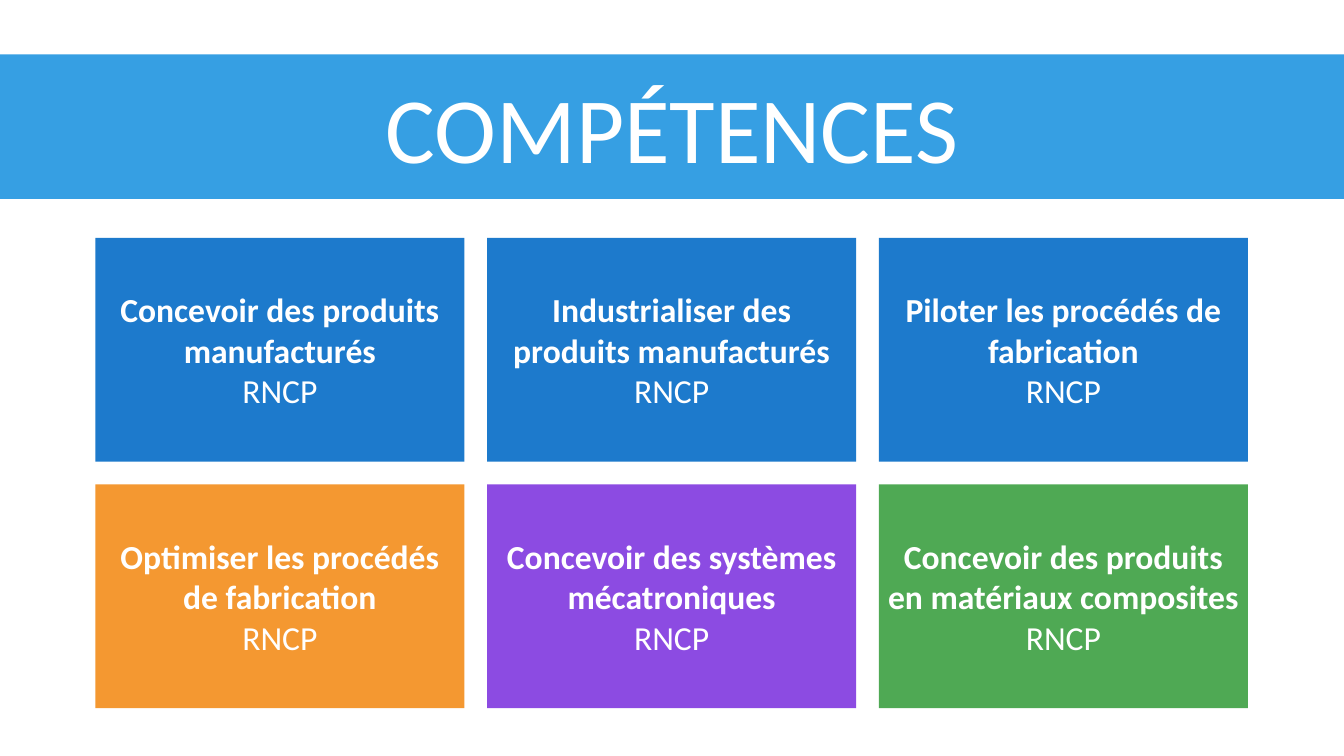
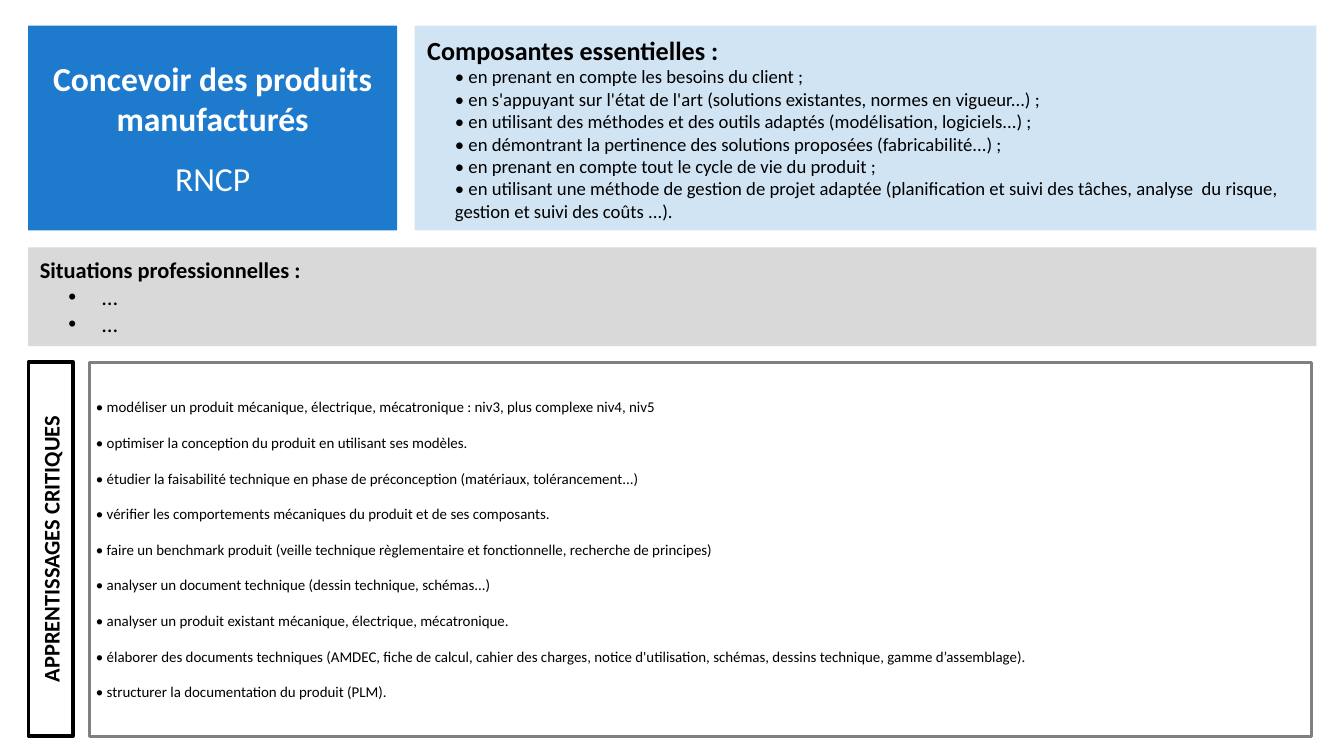
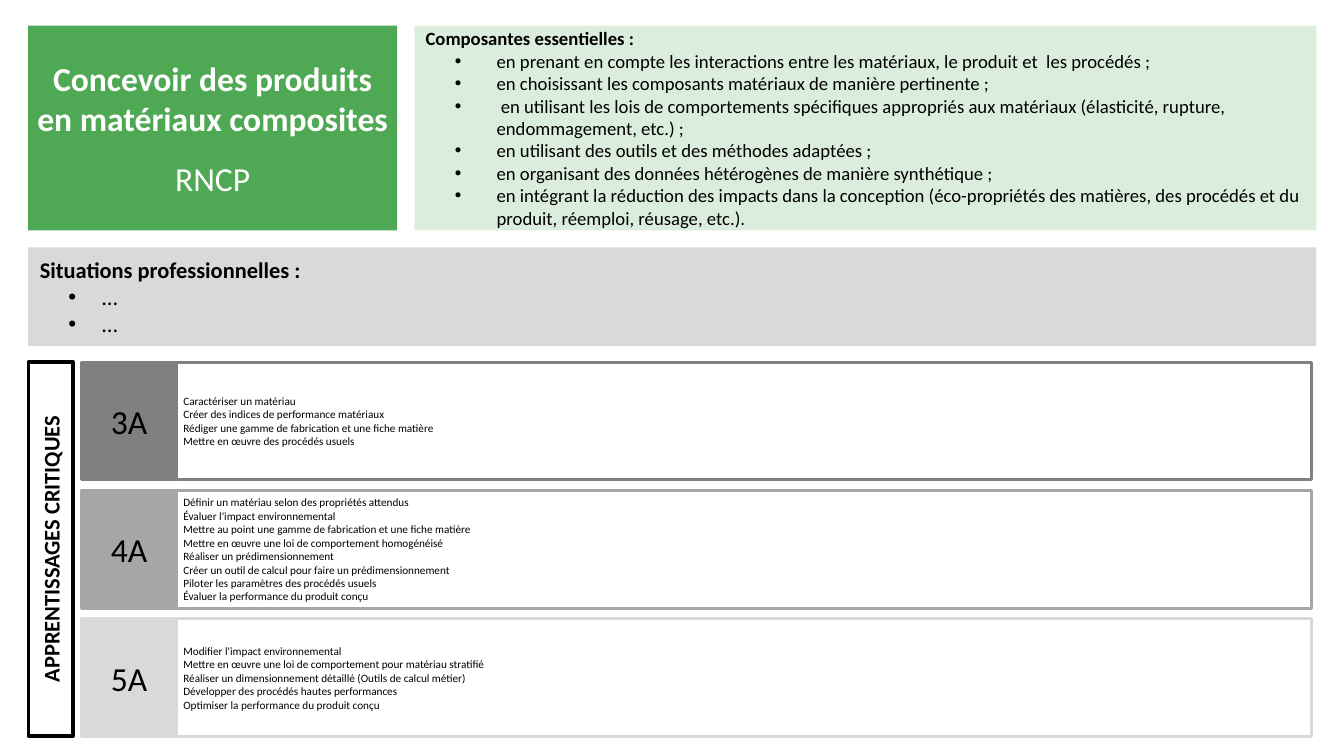
from dataclasses import dataclass
from typing import Optional

from lxml import etree
from pptx import Presentation
from pptx import util as u
from pptx.dml.color import RGBColor
from pptx.enum import shapes, text
from pptx.oxml.ns import qn

PX = 9144  # EMU per px, 100 px to the inch
FONT = "Calibri"
TITLE_ONLY, TITLE_AND_BODY = 5, 1

WHITE = RGBColor(0xFF, 0xFF, 0xFF)
BLACK = RGBColor(0x00, 0x00, 0x00)
SKY = RGBColor(0x36, 0x9F, 0xE3)
BLUE = RGBColor(0x1D, 0x7A, 0xCC)
ORANGE = RGBColor(0xF4, 0x98, 0x31)
PURPLE = RGBColor(0x8C, 0x4B, 0xE2)
GREEN = RGBColor(0x4F, 0xA9, 0x54)
DARK_GREY = RGBColor(0x80, 0x80, 0x80)
MID_GREY = RGBColor(0xA6, 0xA6, 0xA6)
LIGHT_GREY = RGBColor(0xD9, 0xD9, 0xD9)

LEFT, CENTER = text.PP_ALIGN.LEFT, text.PP_ALIGN.CENTER


@dataclass(frozen=True)
class Box:
    x: int
    y: int
    w: int
    h: int


@dataclass(frozen=True)
class Style:
    size: int
    color: RGBColor = BLACK
    bold: bool = False
    align: text.PP_ALIGN = LEFT
    margin: int = 0
    hang: int = 0
    spacing: float = 1.0
    before: float = 0


@dataclass(frozen=True)
class Line:
    wording: str
    style: Style


@dataclass(frozen=True)
class Look:
    fill: RGBColor
    outline: Optional[RGBColor] = None
    weight: float = 3
    opacity: int = 100


@dataclass(frozen=True)
class Skill:
    name: str
    color: RGBColor


@dataclass(frozen=True)
class Level:
    year: str
    color: RGBColor
    learnings: list[str]


# Text styles
BANNER = Style(100, WHITE, align=CENTER)
SKILL_NAME = Style(36, WHITE, bold=True, align=CENTER)
SKILL_CODE = Style(36, WHITE, align=CENTER)
SKILL_CODE_SPACED = Style(36, WHITE, align=CENTER, spacing=1.5)
SITUATION_HEAD = Style(24, bold=True)
SITUATION = Style(24, margin=100, hang=50)
TYPED_COMPONENT = Style(20, margin=50)
BULLET_COMPONENT = Style(20, margin=112, hang=62)
LEARNING = Style(16, before=19)
LEVEL_LEARNING = Style(12)
YEAR = Style(36, align=CENTER)
SIDE_LABEL = Style(24, bold=True, align=CENTER)

# Shared geometry
BANNER_BOX = Box(0, 81, 2000, 215)
SKILL_BOX = Box(42, 38, 549, 305)
COMPONENTS_BOX = Box(617, 38, 1342, 305)
SITUATIONS_BOX = Box(42, 368, 1917, 147)
SIDE_BOX = Box(42, 539, 66, 557)
LEARNINGS_BOX = Box(133, 539, 1819, 557)
CARD_W, CARD_H, CARD_PITCH_X, CARD_PITCH_Y = 549, 333, 583, 367
YEAR_W, LEVEL_H, LEVEL_PITCH = 142, 175, 191

# Content
CODE = "RNCP"
DESIGN = Skill("Concevoir des produits manufacturés", BLUE)
COMPOSITES = Skill("Concevoir des produits en matériaux composites", GREEN)
SKILL_ROWS = [
    [
        DESIGN,
        Skill("Industrialiser des produits manufacturés", BLUE),
        Skill("Piloter les procédés de fabrication", BLUE),
    ],
    [
        Skill("Optimiser les procédés de fabrication", ORANGE),
        Skill("Concevoir des systèmes mécatroniques", PURPLE),
        COMPOSITES,
    ],
]
DESIGN_COMPONENTS = [
    "• en prenant en compte les besoins du client ;",
    "• en s'appuyant sur l'état de l'art (solutions existantes, normes en vigueur...) ;",
    "• en utilisant des méthodes et des outils adaptés (modélisation, logiciels...) ;",
    "• en démontrant la pertinence des solutions proposées (fabricabilité...) ;",
    "• en prenant en compte tout le cycle de vie du produit ;",
    "• en utilisant une méthode de gestion de projet adaptée (planification et suivi des tâches, "
    "analyse  du risque, gestion et suivi des coûts ...).",
]
DESIGN_LEARNINGS = [
    "• modéliser un produit mécanique, électrique, mécatronique : niv3, plus complexe niv4, niv5",
    "• optimiser la conception du produit en utilisant ses modèles.",
    "• étudier la faisabilité technique en phase de préconception (matériaux, tolérancement...)",
    "• vérifier les comportements mécaniques du produit et de ses composants.",
    "• faire un benchmark produit (veille technique règlementaire et fonctionnelle, "
    "recherche de principes)",
    "• analyser un document technique (dessin technique, schémas...)",
    "• analyser un produit existant mécanique, électrique, mécatronique.",
    "• élaborer des documents techniques (AMDEC, fiche de calcul, cahier des charges, "
    "notice d'utilisation, schémas, dessins technique, gamme d’assemblage).",
    "• structurer la documentation du produit (PLM).",
]
COMPOSITE_COMPONENTS = [
    "en prenant en compte les interactions entre les matériaux, le produit et  les procédés ;",
    "en choisissant les composants matériaux de manière pertinente ;",
    " en utilisant les lois de comportements spécifiques appropriés aux matériaux "
    "(élasticité, rupture, endommagement, etc.) ;",
    "en utilisant des outils et des méthodes adaptées ;",
    "en organisant des données hétérogènes de manière synthétique ;",
    "en intégrant la réduction des impacts dans la conception (éco-propriétés des matières, "
    "des procédés et du produit, réemploi, réusage, etc.).",
]
COMPOSITE_LEVELS = [
    Level("3A", DARK_GREY, [
        "Caractériser un matériau",
        "Créer des indices de performance matériaux",
        "Rédiger une gamme de fabrication et une fiche matière",
        "Mettre en œuvre des procédés usuels",
    ]),
    Level("4A", MID_GREY, [
        "Définir un matériau selon des propriétés attendus",
        "Évaluer l'impact environnemental",
        "Mettre au point une gamme de fabrication et une fiche matière",
        "Mettre en œuvre une loi de comportement homogénéisé",
        "Réaliser un prédimensionnement",
        "Créer un outil de calcul pour faire un prédimensionnement",
        "Piloter les paramètres des procédés usuels",
        "Évaluer la performance du produit conçu",
    ]),
    Level("5A", LIGHT_GREY, [
        "Modifier l'impact environnemental",
        "Mettre en œuvre une loi de comportement pour matériau stratifié",
        "Réaliser un dimensionnement détaillé (Outils de calcul métier)",
        "Développer des procédés hautes performances",
        "Optimiser la performance du produit conçu",
    ]),
]


# Drawing helpers
def set_bullet(paragraph, style: Style) -> None:
    props = paragraph._p.get_or_add_pPr()
    props.set("marL", str(style.margin * PX))
    props.set("indent", str(-style.hang * PX))
    if style.hang:
        etree.SubElement(props, qn("a:buFont")).set("typeface", "Arial")
        etree.SubElement(props, qn("a:buChar")).set("char", "•")
    else:
        etree.SubElement(props, qn("a:buNone"))


def write(shape, lines: list[Line]) -> None:
    frame = shape.text_frame
    frame.text = "\n".join(line.wording for line in lines)
    frame.word_wrap = True
    frame.auto_size = text.MSO_AUTO_SIZE.NONE
    frame.vertical_anchor = text.MSO_ANCHOR.MIDDLE
    for index, (paragraph, line) in enumerate(zip(frame.paragraphs, lines)):
        style = line.style
        set_bullet(paragraph, style)
        paragraph.alignment = style.align
        paragraph.line_spacing = style.spacing
        paragraph.space_before = u.Pt(style.before if index else 0)
        for run in paragraph.runs:
            run.font.name = FONT
            run.font.size = u.Pt(style.size)
            run.font.bold = style.bold
            run.font.color.rgb = style.color


def dress(shape, box: Box, look: Look, lines: list[Line]) -> None:
    """Place, colour and fill in a panel or a placeholder."""
    shape.left, shape.top = box.x * PX, box.y * PX
    shape.width, shape.height = box.w * PX, box.h * PX
    shape.fill.solid()
    shape.fill.fore_color.rgb = look.fill
    if look.opacity < 100:
        color = shape.fill._xPr.find(".//" + qn("a:srgbClr"))
        etree.SubElement(color, qn("a:alpha")).set("val", str(look.opacity * 1000))
    if look.outline is None:
        shape.line.fill.background()
    else:
        shape.line.color.rgb = look.outline
        shape.line.width = u.Pt(look.weight)
    write(shape, lines)


def add_panel(slide, box: Box, look: Look, lines: list[Line]):
    panel = slide.shapes.add_shape(shapes.MSO_SHAPE.RECTANGLE, 0, 0, PX, PX)
    panel.shadow.inherit = False
    dress(panel, box, look, lines)
    return panel


def listing(items: list[str], style: Style) -> list[Line]:
    return [Line(item, style) for item in items]


def skill_lines(skill: Skill, code_style: Style) -> list[Line]:
    return [Line(skill.name, SKILL_NAME), Line(CODE, code_style)]


def add_side_label(slide) -> None:
    side = SIDE_BOX
    shift = (side.h - side.w) // 2
    upright = Box(side.x - shift, side.y + shift, side.h, side.w)
    label = add_panel(slide, upright, Look(WHITE, BLACK, 3.75),
                      [Line("APPRENTISSAGES CRITIQUES", SIDE_LABEL)])
    label.rotation = 270


def add_skill_slide(deck, skill: Skill, components: list[str], style: Style, head_size: int):
    """Slide frame: skill card, components, situations and side label."""
    slide = deck.slides.add_slide(deck.slide_layouts[TITLE_AND_BODY])
    dress(slide.shapes.title, SKILL_BOX, Look(skill.color),
          skill_lines(skill, SKILL_CODE_SPACED))
    head = Line(" Composantes essentielles :", Style(head_size, bold=True))
    dress(slide.placeholders[1], COMPONENTS_BOX, Look(skill.color, opacity=20),
          [head] + listing(components, style))
    add_panel(slide, SITUATIONS_BOX, Look(LIGHT_GREY),
              [Line(" Situations professionnelles :", SITUATION_HEAD)]
              + listing(["…"] * 2, SITUATION))
    add_side_label(slide)
    return slide


# Slides
def add_overview(deck) -> None:
    slide = deck.slides.add_slide(deck.slide_layouts[TITLE_ONLY])
    dress(slide.shapes.title, BANNER_BOX, Look(SKY), [Line("COMPÉTENCES", BANNER)])
    for row, skills in enumerate(SKILL_ROWS):
        for column, skill in enumerate(skills):
            card = Box(142 + column * CARD_PITCH_X, 354 + row * CARD_PITCH_Y, CARD_W, CARD_H)
            add_panel(slide, card, Look(skill.color), skill_lines(skill, SKILL_CODE))


def add_design(deck) -> None:
    slide = add_skill_slide(deck, DESIGN, DESIGN_COMPONENTS, TYPED_COMPONENT, 28)
    add_panel(slide, LEARNINGS_BOX, Look(WHITE, DARK_GREY),
              listing(DESIGN_LEARNINGS, LEARNING))


def add_composites(deck) -> None:
    slide = add_skill_slide(deck, COMPOSITES, COMPOSITE_COMPONENTS, BULLET_COMPONENT, 20)
    for index, level in enumerate(COMPOSITE_LEVELS):
        year = Box(121, 539 + index * LEVEL_PITCH, YEAR_W, LEVEL_H)
        detail = Box(year.x + year.w, year.y, 1689, LEVEL_H)
        add_panel(slide, detail, Look(WHITE, level.color),
                  listing(level.learnings, LEVEL_LEARNING))
        add_panel(slide, year, Look(level.color, level.color), [Line(level.year, YEAR)])


def main() -> None:
    deck = Presentation()
    deck.slide_width, deck.slide_height = 2000 * PX, 1125 * PX
    add_overview(deck)
    add_design(deck)
    add_composites(deck)
    deck.save("out.pptx")


if __name__ == "__main__":
    main()
